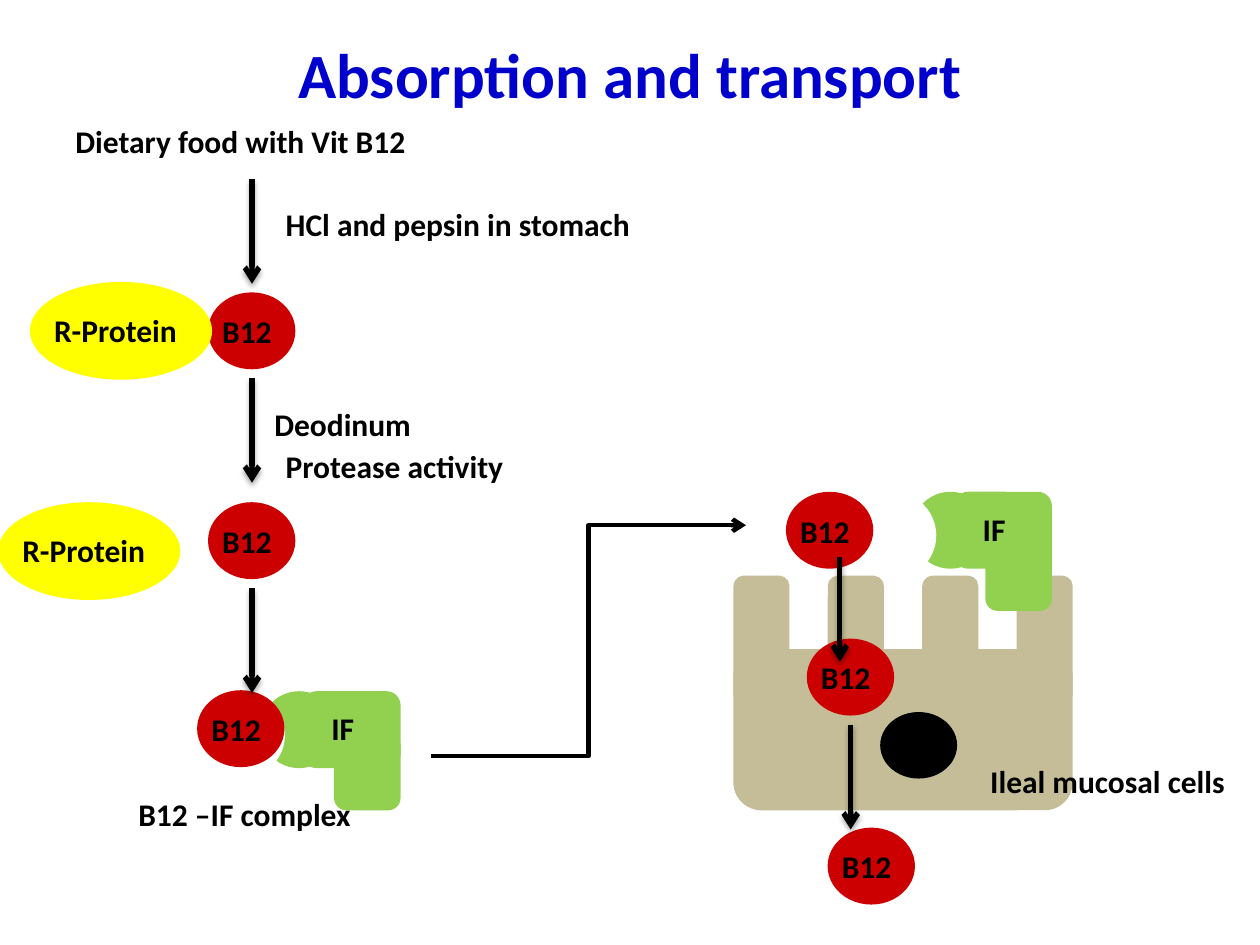
from lxml import etree
from pptx import Presentation
from pptx.dml.color import RGBColor
from pptx.enum.shapes import MSO_CONNECTOR, MSO_SHAPE
from pptx.enum.text import MSO_ANCHOR, PP_ALIGN
from pptx.oxml.ns import qn
from pptx.util import Cm, Pt

OVAL, ROUNDED = MSO_SHAPE.OVAL, MSO_SHAPE.ROUNDED_RECTANGLE
STRAIGHT, ELBOW = MSO_CONNECTOR.STRAIGHT, MSO_CONNECTOR.ELBOW
LEFT, CENTER = PP_ALIGN.LEFT, PP_ALIGN.CENTER
TOP, MIDDLE = MSO_ANCHOR.TOP, MSO_ANCHOR.MIDDLE

COLORS = {"title": "0000CC", "ink": "000000", "cell": "C4BD97", "b12": "CC0000",
          "factor": "92D050", "protein": "FFFF00", "paper": "FFFFFF"}
FONT = "Calibri"

# All lengths are in centimetres
TITLE = "Absorption and transport"
STEPS = [  # text, left, top
    ("Dietary food with Vit B12", 1.27, 2.34),
    ("HCl and pepsin in stomach", 5.51, 4.01),
    ("Deodinum", 5.28, 8.05),
    ("Protease activity", 5.51, 8.89),
    ("B12 –IF complex", 2.54, 15.9),
]
B12_SPOTS = [(4.23, 5.93), (4.23, 10.16), (4.01, 13.95),
             (15.88, 9.95), (16.3, 12.91), (16.72, 16.72)]
PROTEIN_SPOTS = [(0.64, 5.72), (0, 10.16)]
FACTOR_SPOTS = [(5.29, 13.97), (18.42, 9.95)]
FACTOR_PARTS = [  # preset, colour, offset and size
    (OVAL, "factor", 0, 0, 1.48, 1.48),
    (ROUNDED, "factor", 0.85, 0, 1.9, 1.48),
    (ROUNDED, "factor", 1.48, 0.85, 1.27, 1.48),
    (OVAL, "paper", -1.27, 0, 1.69, 1.69),
]
ARROW_STARTS = [(5.08, 3.61), (5.08, 7.62), (5.08, 11.86), (16.93, 11.23), (17.15, 14.61)]
ARROW_LENGTH = 2.11
CELL = (14.82, 13.12, 6.77, 3.18)
VILLI, VILLUS_TOP, VILLUS_W, VILLUS_H = 4, 11.64, 1.06, 2.54
NUCLEUS = (17.78, 14.39, 1.48, 1.27)


def add_text(s, text, x, y, w, h=1.02, size=18, color="ink", align=LEFT,
             anchor=TOP, wrap=True):
    tf = s.shapes.add_textbox(Cm(x), Cm(y), Cm(w), Cm(h)).text_frame
    tf.word_wrap = wrap
    tf.vertical_anchor = anchor
    p = tf.paragraphs[0]
    p.alignment = align
    r = p.add_run()
    r.text = text
    r.font.name, r.font.size, r.font.bold = FONT, Pt(size), True
    r.font.color.rgb = RGBColor.from_string(COLORS[color])


def add_solid(s, preset, color, x, y, w, h):
    sp = s.shapes.add_shape(preset, Cm(x), Cm(y), Cm(w), Cm(h))
    sp.shadow.inherit = False
    rgb = RGBColor.from_string(COLORS[color])
    sp.fill.solid()
    sp.fill.fore_color.rgb = rgb
    sp.line.color.rgb = rgb
    sp.line.width = Pt(2)


def add_arrow(s, kind, start, end, width, shadow=False):
    c = s.shapes.add_connector(kind, *map(Cm, start + end))
    c.line.color.rgb = RGBColor.from_string(COLORS["ink"])
    c.line.width = Pt(width)
    etree.SubElement(c.line._get_or_add_ln(), qn("a:tailEnd"), type="arrow")
    effects = etree.SubElement(c._element.spPr, qn("a:effectLst"))
    if shadow:
        outer = etree.SubElement(effects, qn("a:outerShdw"), blurRad=str(Pt(3.1)),
                                 dist=str(Pt(1.8)), dir="5400000", rotWithShape="0")
        tone = etree.SubElement(outer, qn("a:srgbClr"), val=COLORS["ink"])
        etree.SubElement(tone, qn("a:alpha"), val="35000")


def add_mucosal_cell(s):
    left, _, width, _ = CELL
    step = (width - VILLUS_W) / (VILLI - 1)
    for i in range(VILLI):
        add_solid(s, ROUNDED, "cell", left + i * step, VILLUS_TOP, VILLUS_W, VILLUS_H)
    add_solid(s, ROUNDED, "cell", *CELL)
    add_solid(s, OVAL, "ink", *NUCLEUS)


def add_intrinsic_factor(s, x, y):
    for preset, color, dx, dy, w, h in FACTOR_PARTS:
        add_solid(s, preset, color, x + dx, y + dy, w, h)
    add_text(s, "IF", x + 1.14, y + 0.2, 0.97, wrap=False)


def main():
    prs = Presentation()
    prs.slide_width, prs.slide_height = Cm(25.4), Cm(19.05)
    s = prs.slides.add_slide(prs.slide_layouts[6])

    add_mucosal_cell(s)
    for x, y in FACTOR_SPOTS:
        add_intrinsic_factor(s, x, y)
    for x, y in B12_SPOTS:
        add_solid(s, OVAL, "b12", x, y, 1.69, 1.48)
        add_text(s, "B12", x, y + 0.24, 1.5, wrap=False)
    for x, y in PROTEIN_SPOTS:
        add_solid(s, OVAL, "protein", x, y, 3.6, 1.9)
        add_text(s, "R-Protein", x + 0.2, y + 0.43, 3.18)

    for x, y in ARROW_STARTS:
        add_arrow(s, STRAIGHT, (x, y), (x, y + ARROW_LENGTH), 3, shadow=True)
    add_arrow(s, ELBOW, (8.69, 15.24), (15.04, 10.59), 2.5)

    for text, x, y in STEPS:
        add_text(s, text, x, y, 7.62)
    add_text(s, "Ileal mucosal cells", 19.26, 15.24, 6.14, align=CENTER)
    add_text(s, TITLE, 1.27, 0, 22.86, 2.97, size=36, color="title",
             align=CENTER, anchor=MIDDLE)
    prs.save("out.pptx")


if __name__ == "__main__":
    main()
